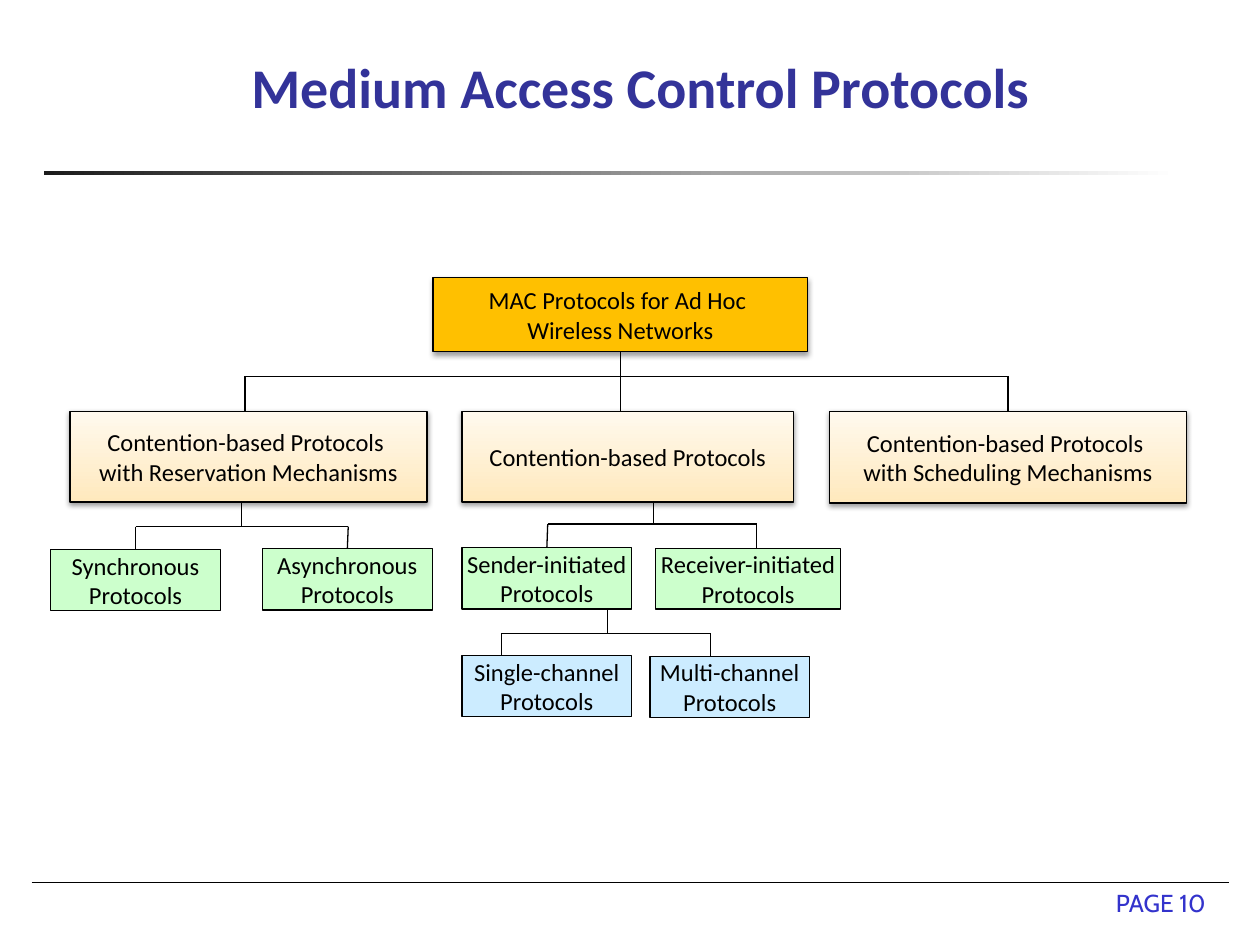
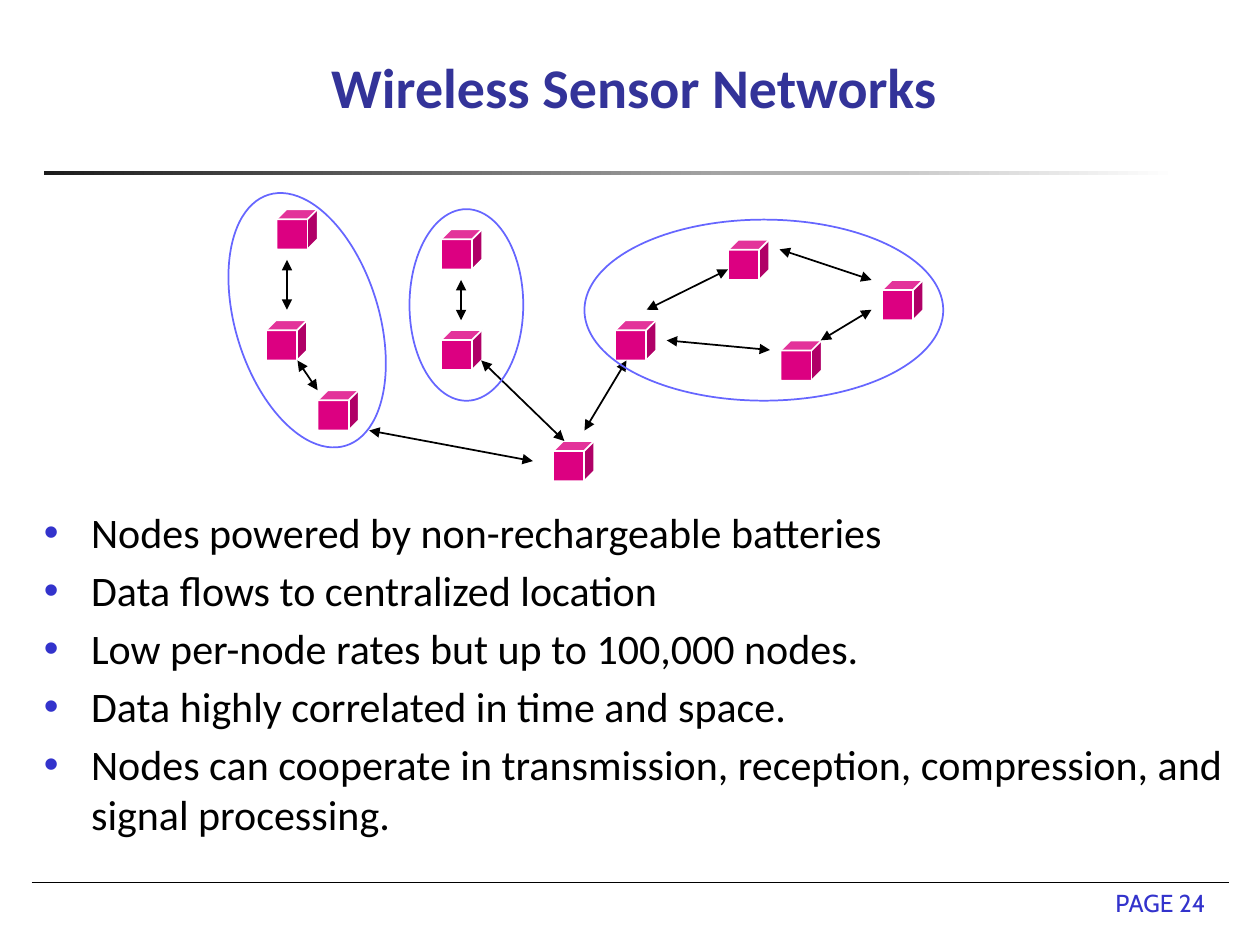
from pptx import Presentation
from pptx.dml.color import RGBColor
from pptx.enum.shapes import MSO_CONNECTOR as Link, MSO_SHAPE as Kind
from pptx.enum.text import MSO_ANCHOR as Anchor, MSO_AUTO_SIZE as Auto, PP_ALIGN as Align
from pptx.oxml import parse_xml
from pptx.oxml.ns import nsdecls, qn
from pptx.oxml.xmlchemy import OxmlElement
from pptx.util import Pt

HUES = {
    "title": "333399", "page": "3333CC", "ink": "000000", "white": "FFFFFF",
    "rule": "1C1C1C", "root": "FFC000", "sand": "FFE9BD", "cream": "FFF9EE",
    "green": "CCFFCC", "blue": "CCECFF", "node": "DC0081", "ring": "6666FF",
}

TREE_TITLE, TREE_PAGE = "Medium Access Control Protocols", 10
# name: (left, top, width, height, fill, raised, lines)
BOXES = {
    "root": (247.5, 158.5, 214, 42.5, "root", True,
             ["MAC Protocols for Ad Hoc ", "Wireless Networks"]),
    "reserve": (40, 235, 204, 52, ("sand", "cream"), True,
                ["Contention-based Protocols ", "with Reservation Mechanisms"]),
    "contend": (264, 235, 189.5, 52, ("sand", "cream"), True,
                ["Contention-based Protocols"]),
    "schedule": (474, 235, 204, 52.5, ("sand", "cream"), True,
                 ["Contention-based Protocols ", "with Scheduling Mechanisms"]),
    "sync": (29, 314, 97, 35, "green", False, ["Synchronous", "Protocols"]),
    "async": (150, 313.5, 97, 35, "green", False, ["Asynchronous", "Protocols"]),
    "sender": (264, 313, 97, 35, "green", False, ["Sender-initiated", "Protocols"]),
    "receiver": (374.5, 313.5, 106, 34.5, "green", False,
                 ["Receiver-initiated", "Protocols"]),
    "single": (264, 374.5, 97, 35, "blue", False, ["Single-channel", "Protocols"]),
    "multi": (371.5, 375, 91, 35, "blue", False, ["Multi-channel", "Protocols"]),
}
# (parent, stem x, bus y, {child: drop x})
FORKS = [
    ("root", 354.5, 215, {"reserve": 140, "contend": 354.5, "schedule": 576}),
    ("reserve", 138, 301, {"sync": 77.5, "async": 199}),
    ("contend", 373.5, 299.5, {"sender": 313, "receiver": 432.5}),
    ("sender", 347, 362, {"single": 286.5, "multi": 406}),
]

NET_TITLE, NET_PAGE = "Wireless Sensor Networks ", 24
POINTS = [
    "Nodes powered by non-rechargeable batteries",
    "Data flows to centralized location",
    "Low per-node rates but up to 100,000 nodes.",
    "Data highly correlated in time and space.",
    "Nodes can cooperate in transmission, reception, compression, and signal processing.",
]
CUBE = (23.5, 23)
NODES = [(152, 183), (158, 119.5), (316, 252), (446, 194.5), (252, 188.5),
         (416, 137), (504, 160), (252, 131), (351.5, 183), (181.5, 223)]
HOPS = [
    (164, 148.5, 164, 177), (170, 206, 181.5, 223), (211, 246, 304.5, 263.5),
    (334, 246, 358, 206), (369.5, 177, 416, 154), (445.5, 142.5, 498, 160),
    (381, 194.5, 440, 200), (469, 194.5, 498, 177), (263.5, 160, 263.5, 183),
    (275, 206, 322.5, 252),
]
# (left, top, width, height, turn)
RINGS = [(134.5, 108, 82, 150, 342.9), (234, 119.5, 65, 109.5, 0),
         (334, 125.5, 205, 103.5, 0)]


def hue(name):
    return RGBColor.from_string(HUES[name])


def style(item, **values):
    for key, value in values.items():
        setattr(item, key, value)


def write(frame, lines, size, color, align, anchor, face="Calibri", bold=False, wrap=True):
    style(frame, word_wrap=wrap, auto_size=Auto.NONE, vertical_anchor=anchor)
    for i, line in enumerate(lines):
        para = frame.paragraphs[0] if i == 0 else frame.add_paragraph()
        para.alignment = align
        run = para.add_run()
        run.text = line
        style(run.font, name=face, size=Pt(size), bold=bold)
        run.font.color.rgb = hue(color)


def shape(slide, kind, spot, fill=None, edge=None, weight=1):
    """Add a flat shape; a pair of fills makes an upward or sideways gradient."""
    item = slide.shapes.add_shape(kind, *map(Pt, spot))
    item.shadow.inherit = False
    if isinstance(fill, tuple):
        item.fill.gradient()
        for stop, name in zip(item.fill.gradient_stops, fill):
            stop.color.rgb = hue(name)
    elif fill:
        item.fill.solid()
        item.fill.fore_color.rgb = hue(fill)
    else:
        item.fill.background()
    if edge:
        item.line.color.rgb = hue(edge)
        item.line.width = Pt(weight)
    else:
        item.line.fill.background()
    return item


def line(slide, ends, weight=0.75, arrows=False):
    item = slide.shapes.add_connector(Link.STRAIGHT, *map(Pt, ends))
    item.line.color.rgb = hue("ink")
    item.line.width = Pt(weight)
    props = item._element.spPr
    if arrows:
        for tag in ("a:headEnd", "a:tailEnd"):
            tip = OxmlElement(tag)
            tip.set("type", "triangle")
            props.find(qn("a:ln")).append(tip)
    props.append(OxmlElement("a:effectLst"))
    return item


def lift(item):
    """Give a shape a soft shadow below."""
    effects = item._element.spPr.find(qn("a:effectLst"))
    effects.append(parse_xml(
        f'<a:outerShdw {nsdecls("a")} blurRad="{Pt(3.1)}" dist="{Pt(1.6)}" '
        f'dir="5400000" rotWithShape="0"><a:srgbClr val="{HUES["ink"]}">'
        '<a:alpha val="38000"/></a:srgbClr></a:outerShdw>'))


def start(deck, title, page):
    """Add a slide with title, rule, footer line and page number."""
    slide = deck.slides.add_slide(deck.slide_layouts[5])
    rule = shape(slide, Kind.RECTANGLE, (25.2, 98, 648, 2.3), ("rule", "white"))
    rule.fill.gradient_angle = 0
    foot = slide.shapes.add_textbox(*map(Pt, (456, 492, 240, 36)))
    write(foot.text_frame, [f"PAGE {page}"], 14, "page", Align.RIGHT, Anchor.BOTTOM, "Cabin")
    line(slide, (18, 504, 702, 504), 0.25)
    head = slide.shapes.title
    style(head, left=Pt(12), top=Pt(12), width=Pt(708), height=Pt(60))
    write(head.text_frame, [title], 32, "title", Align.CENTER, Anchor.BOTTOM, bold=True)
    return slide


def draw_tree(deck):
    slide = start(deck, TREE_TITLE, TREE_PAGE)
    made = {}
    for name, (*spot, fill, raised, lines) in BOXES.items():
        box = made[name] = shape(slide, Kind.RECTANGLE, spot, fill, "ink", 0.75)
        if isinstance(fill, tuple):
            box.fill.gradient_angle = 90
        if raised:
            lift(box)
        write(box.text_frame, lines, 14, "ink", Align.CENTER, Anchor.MIDDLE, wrap=False)

    def centred(name, x):
        left, _, width, *_ = BOXES[name]
        return abs(left + width / 2 - x) < 1

    for parent, x, bus, drops in FORKS:
        _, top, _, height, *_ = BOXES[parent]
        stem = line(slide, (x, top + height, x, bus))
        if centred(parent, x):
            stem.begin_connect(made[parent], 2)
        line(slide, (min(drops.values()), bus, max(drops.values()), bus))
        for child, drop in drops.items():
            leg = line(slide, (drop, bus, drop, BOXES[child][1]))
            if centred(child, drop):
                leg.end_connect(made[child], 0)


def draw_net(deck):
    slide = start(deck, NET_TITLE, NET_PAGE)
    body = slide.shapes.add_textbox(*map(Pt, (18, 286, 690, 218))).text_frame
    write(body, POINTS, 24, "ink", Align.LEFT, Anchor.TOP)
    for i, para in enumerate(body.paragraphs):
        props = para._p.get_or_add_pPr()
        props.set("marL", str(Pt(27)))
        props.set("indent", str(Pt(-27)))
        if i:
            para.space_before = Pt(4.3)
        props.append(parse_xml(f'<a:buClr {nsdecls("a")}><a:srgbClr val="{HUES["page"]}"/></a:buClr>'))
        props.append(parse_xml(f'<a:buFont {nsdecls("a")} typeface="Arial"/>'))
        props.append(parse_xml(f'<a:buChar {nsdecls("a")} char="•"/>'))
    for node in NODES:
        shape(slide, Kind.CUBE, node + CUBE, "node", "white")
    for hop in HOPS:
        line(slide, hop, 1, arrows=True)
    for *spot, turn in RINGS:
        shape(slide, Kind.OVAL, spot, edge="ring").rotation = turn


def main():
    deck = Presentation()
    style(deck, slide_width=Pt(720), slide_height=Pt(540))
    draw_tree(deck)
    draw_net(deck)
    deck.save("out.pptx")


if __name__ == "__main__":
    main()
